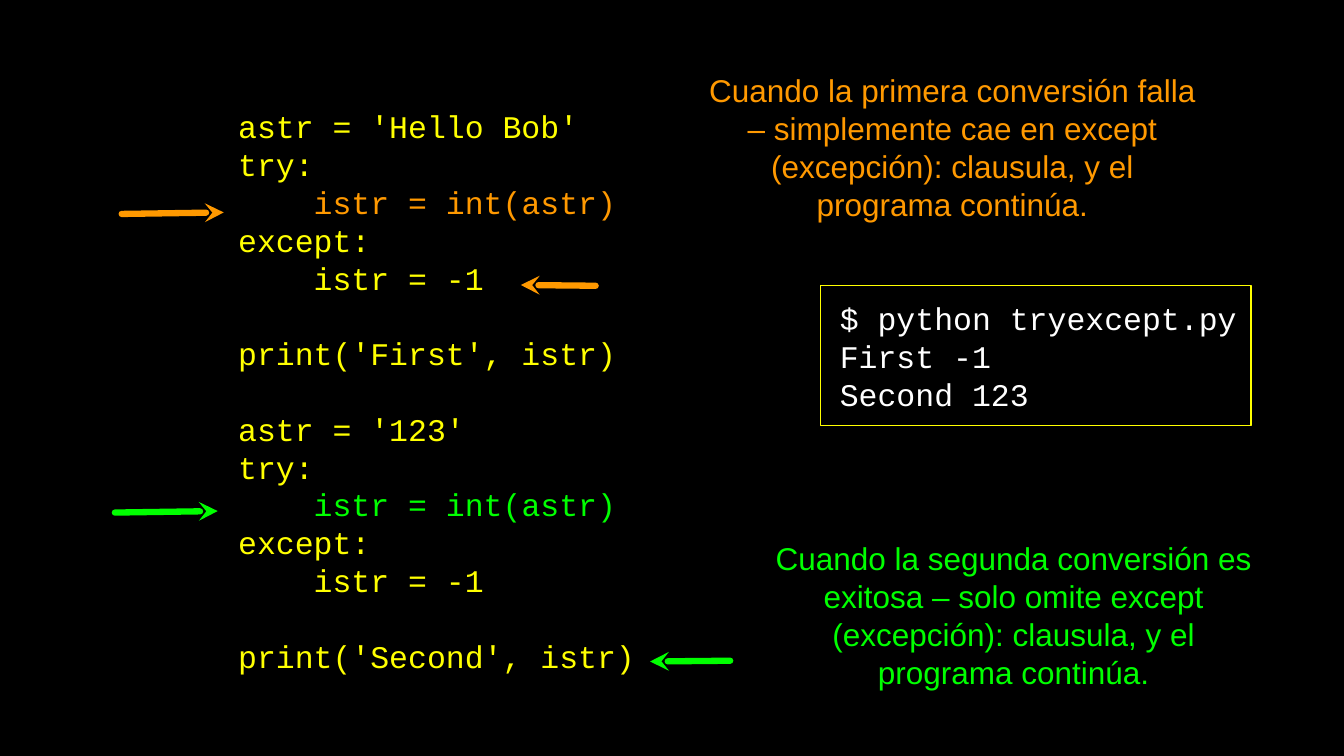
from lxml import etree
from pptx import Presentation
from pptx import util as u
from pptx.dml.color import RGBColor
from pptx.enum import shapes, text
from pptx.oxml.ns import qn

YELLOW, ORANGE, GREEN, WHITE = "FFFF00", "FF9900", "00FF00", "FFFFFF"
CODE_FONT, NOTE_FONT = "Courier New", "Arial"


def rgb(value):
    return RGBColor.from_string(value)


def apply(target, values):
    for name, value in values.items():
        setattr(target, name, value)


class TraceSlide:
    """Holds the text style and the slide being filled."""
    size = u.Pt(30)
    line_height = u.Pt(36)
    code_indent = u.Inches(1)  # four characters of code

    def __init__(self, deck):
        self.slide = deck.slides.add_slide(deck.slide_layouts[6])
        fill = self.slide.background.fill
        fill.solid()
        fill.fore_color.rgb = rgb("000000")

    def set_lines(self, frame, lines, font, align=text.PP_ALIGN.LEFT, inset=0):
        """Each line is (text, colour, indent level, blank lines above)."""
        apply(frame, {
            "word_wrap": True, "vertical_anchor": text.MSO_ANCHOR.MIDDLE,
            "margin_left": u.Inches(inset), "margin_right": 0,
            "margin_top": 0, "margin_bottom": 0,
        })
        for number, (words, colour, level, gap) in enumerate(lines):
            line = frame.add_paragraph() if number else frame.paragraphs[0]
            apply(line, {
                "alignment": align, "line_spacing": self.line_height,
                "space_before": u.Emu(gap * self.line_height),
            })
            if level:
                properties = line._p.get_or_add_pPr()
                properties.set("marL", str(level * self.code_indent))
                properties.set("indent", "0")
            run = line.add_run()
            run.text = words
            apply(run.font, {"name": font, "size": self.size, "bold": False})
            run.font.color.rgb = rgb(colour)

    def text_box(self, place, lines, font, **style):
        box = self.slide.shapes.add_textbox(*map(u.Inches, place))
        self.set_lines(box.text_frame, lines, font, **style)

    def note(self, place, words, colour):
        self.text_box(place, [(words, colour, 0, 0)], NOTE_FONT,
                      align=text.PP_ALIGN.CENTER)

    def console(self, place, lines):
        screen = self.slide.shapes.add_shape(
            shapes.MSO_SHAPE.RECTANGLE, *map(u.Inches, place))
        screen.shadow.inherit = False
        screen.fill.background()
        screen.line.color.rgb = rgb(YELLOW)
        screen.line.width = u.Pt(1)
        self.set_lines(screen.text_frame,
                       [(words, WHITE, 0, 0) for words in lines],
                       CODE_FONT, inset=0.25)

    def arrow(self, start, tip, colour):
        pointer = self.slide.shapes.add_connector(
            shapes.MSO_CONNECTOR.STRAIGHT, *map(u.Inches, start + tip))
        pointer.line.color.rgb = rgb(colour)
        pointer.line.width = u.Pt(6)
        stroke = pointer.line._get_or_add_ln()
        stroke.set("cap", "rnd")
        etree.SubElement(stroke, qn("a:round"))
        etree.SubElement(stroke, qn("a:tailEnd"), type="stealth")
        etree.SubElement(pointer._element.spPr, qn("a:effectLst"))


def trial(value, label, highlight, gap):
    """Code lines of one try/except example."""
    return [
        (f"astr = '{value}'", YELLOW, 0, gap),
        ("try:", YELLOW, 0, 0),
        ("istr = int(astr)", highlight, 1, 0),
        ("except:", YELLOW, 0, 0),
        ("istr = -1", YELLOW, 1, 0),
        (f"print('{label}', istr)", YELLOW, 0, 1),
    ]


def main():
    deck = Presentation()
    apply(deck, {"slide_width": u.Inches(17.78), "slide_height": u.Inches(10)})
    trace = TraceSlide(deck)

    program = (trial("Hello Bob", "First", ORANGE, 0)
               + trial("123", "Second", GREEN, 1))
    trace.text_box((3.15, 1.24, 5.69, 7.86), program, CODE_FONT)
    trace.console((10.86, 3.78, 5.69, 1.85),
                  ["$ python tryexcept.py", "First -1", "Second 123"])

    for start, tip, colour in [
        ((1.61, 2.83), (2.96, 2.81), ORANGE),
        ((7.88, 3.78), (6.89, 3.77), ORANGE),
        ((1.52, 6.78), (2.88, 6.76), GREEN),
        ((9.66, 8.74), (8.6, 8.75), GREEN),
    ]:
        trace.arrow(start, tip, colour)

    trace.note((9.38, 1.16, 6.44, 1.57),
               "Cuando la primera conversión falla – simplemente cae en except "
               "(excepción): clausula, y el programa continúa.", ORANGE)
    trace.note((10.19, 7.35, 6.44, 1.57),
               "Cuando la segunda conversión es exitosa – solo omite except "
               "(excepción): clausula, y el programa continúa.", GREEN)
    deck.save("out.pptx")


if __name__ == "__main__":
    main()
